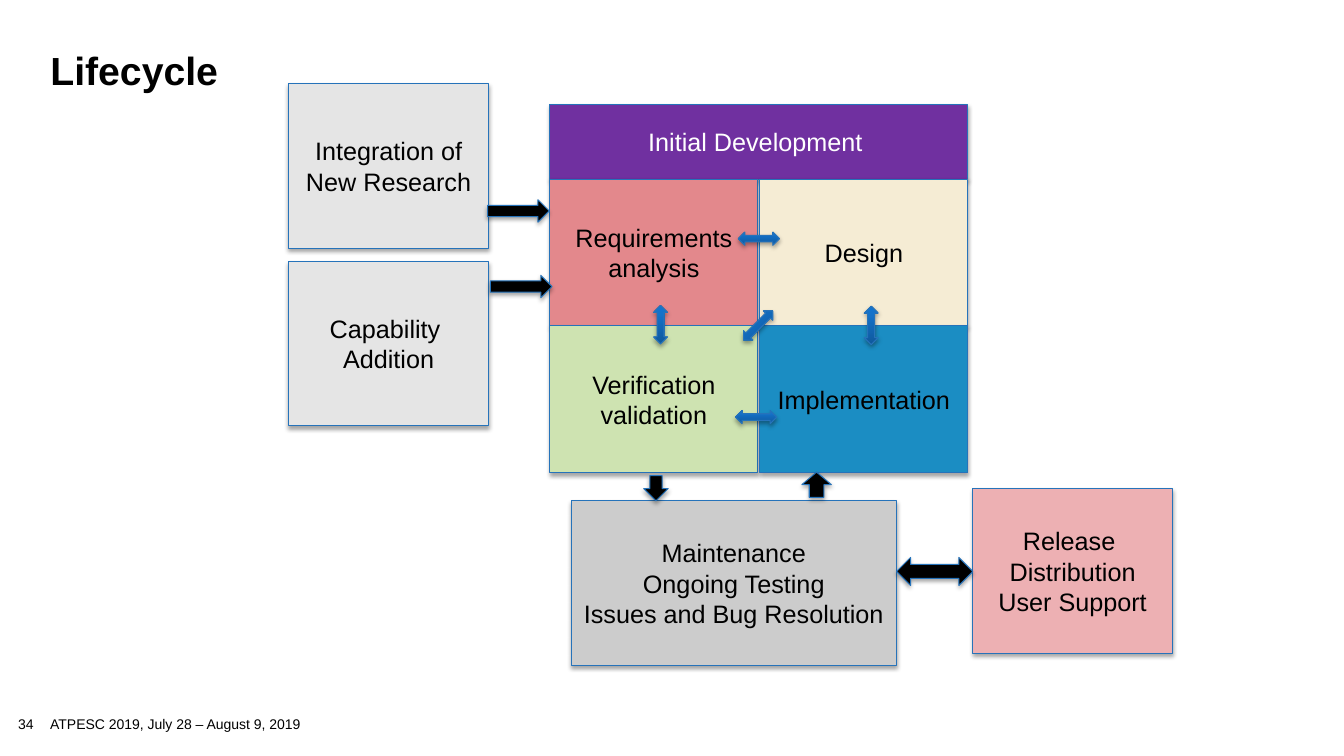
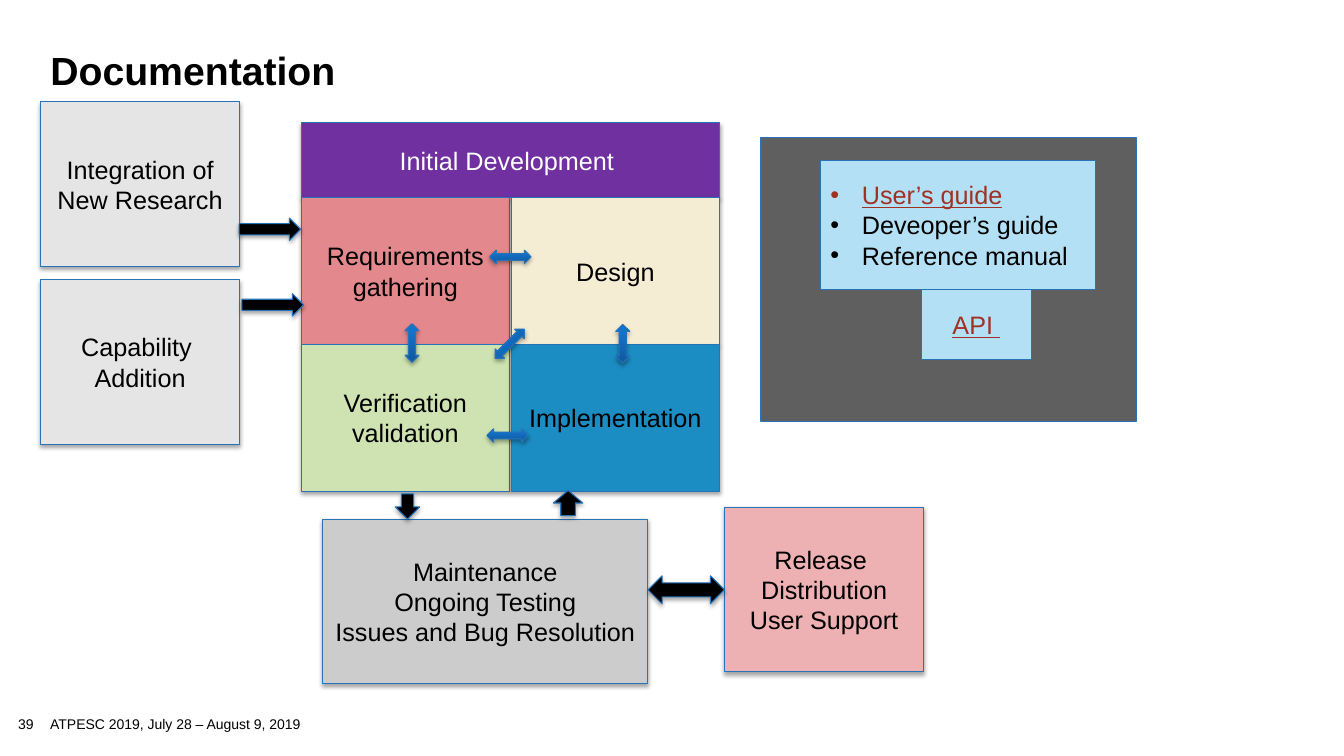
from dataclasses import dataclass

from lxml import etree
from pptx import Presentation
from pptx.dml.color import RGBColor
from pptx.enum.shapes import MSO_SHAPE
from pptx.enum.text import MSO_ANCHOR, MSO_AUTO_SIZE, PP_ALIGN
from pptx.oxml.ns import qn
from pptx.util import Pt

RECT = MSO_SHAPE.RECTANGLE
RIGHT, UP, DOWN = MSO_SHAPE.RIGHT_ARROW, MSO_SHAPE.UP_ARROW, MSO_SHAPE.DOWN_ARROW
WIDE, TALL = MSO_SHAPE.LEFT_RIGHT_ARROW, MSO_SHAPE.UP_DOWN_ARROW
LEFT, MID = PP_ALIGN.LEFT, PP_ALIGN.CENTER
MIDDLE, TOP = MSO_ANCHOR.MIDDLE, MSO_ANCHOR.TOP
NO_FIT = MSO_AUTO_SIZE.NONE
TITLE_ONLY = 5


@dataclass(frozen=True)
class Theme:
    font: str = "Arial"
    head: float = 28
    body: float = 18
    small: float = 10
    ink: str = "000000"
    pale: str = "FFFFFF"
    link: str = "A03123"
    edge: str = "2673BA"
    rule: float = 0.75
    input: str = "E5E5E5"
    start: str = "7030A0"
    needs: str = "E3888C"
    design: str = "F5ECD4"
    check: str = "CEE3B1"
    build: str = "1B8DC3"
    upkeep: str = "CCCCCC"
    ship: str = "EDB0B3"
    panel: str = "5F5F5F"
    paper: str = "B4E0F5"
    blend: tuple = ((0, "0F589C"), (80, "1472CA"), (100, "1073CF"))


T = Theme()


@dataclass(frozen=True)
class Box:
    x: float
    y: float
    w: float
    h: float

    def sub(self, x, y, w, h):
        """Give a box whose corner is measured from this one."""
        return Box(self.x + x, self.y + y, w, h)

    def pts(self):
        return [Pt(v) for v in (self.x, self.y, self.w, self.h)]


def node(parent, tag, **attrs):
    item = etree.SubElement(parent, qn(tag))
    for key, val in attrs.items():
        item.set(key, str(val))
    return item


def write(frame, lines, size=T.body, color=T.ink, align=MID, bold=False,
          links=(), space=None):
    """Fill a text frame; lines named in links are underlined."""
    frame.word_wrap = True
    for i, line in enumerate(lines):
        para = frame.paragraphs[0] if i == 0 else frame.add_paragraph()
        para.alignment = align
        if space:
            para.line_spacing = space
        run = para.add_run()
        run.text = line
        font = run.font
        font.name, font.size, font.bold = T.font, Pt(size), bold
        font.underline = line in links
        font.color.rgb = RGBColor.from_string(T.link if line in links else color)


def cast(shape):
    """Add a soft shadow straight below the shape."""
    effect = shape._element.spPr.find(qn("a:effectLst"))
    drop = node(effect, "a:outerShdw", blurRad=Pt(3.1), dist=Pt(1.8),
                dir=90 * 60000, rotWithShape=0)
    node(node(drop, "a:srgbClr", val="000000"), "a:alpha", val=35000)


def shade(shape):
    """Fill with the blue blend, running from bottom to top."""
    outline = shape._element.spPr.find(qn("a:prstGeom"))
    grad = etree.Element(qn("a:gradFill"), rotWithShape="1")
    stops = node(grad, "a:gsLst")
    for pos, color in T.blend:
        node(node(stops, "a:gs", pos=pos * 1000), "a:srgbClr", val=color)
    node(grad, "a:lin", ang=270 * 60000, scaled=0)
    outline.addnext(grad)


def draw(slide, kind, box, fill=None, shadow=True):
    """Add a shape; without a fill colour it takes the blue blend."""
    shape = slide.shapes.add_shape(kind, *box.pts())
    shape.shadow.inherit = False
    if fill:
        shape.fill.solid()
        shape.fill.fore_color.rgb = RGBColor.from_string(fill)
    else:
        shade(shape)
    shape.line.color.rgb = RGBColor.from_string(T.edge)
    shape.line.width = Pt(T.rule)
    if shadow:
        cast(shape)
    return shape


def block(slide, box, fill, lines, shadow=True, **style):
    shape = draw(slide, RECT, box, fill, shadow)
    shape.text_frame.vertical_anchor = MIDDLE
    write(shape.text_frame, lines, **style)
    return shape


def label(slide, box, text, inset, anchor, space=None):
    frame = slide.shapes.add_textbox(*box.pts()).text_frame
    frame.vertical_anchor = anchor
    frame.margin_left = frame.margin_right = Pt(inset)
    frame.margin_top = frame.margin_bottom = 0
    write(frame, [text], T.small, align=LEFT, space=space)


def page(deck, title, number):
    """Add a slide with its title and footer."""
    slide = deck.slides.add_slide(deck.slide_layouts[TITLE_ONLY])
    head = slide.shapes.title
    head.left, head.top, head.width, head.height = Box(28.8, 32.4, 895.7, 40.3).pts()
    head.text_frame.vertical_anchor = MIDDLE
    head.text_frame.auto_size = NO_FIT
    write(head.text_frame, [title], T.head, align=LEFT, bold=True, space=0.85)
    label(slide, Box(13, 512.6, 40, 11.5), number, 0, TOP, 0.9)
    label(slide, Box(28.8, 509.8, 261.4, 14.4),
          "ATPESC 2019, July 28 – August 9, 2019", 7.2, MIDDLE)
    return slide


def inputs(slide, box):
    """Stack the two sources of new work."""
    high = 117.5
    parts = (["Integration of New Research"], ["Capability ", "Addition"])
    for i, lines in enumerate(parts):
        y = i * (box.h - high)
        block(slide, box.sub(0, y, box.w, high), T.input, lines)


def core(slide, box, needs):
    """Draw a banner over a two by two grid, joined by blue arrows."""
    band, gap = 53.3, 1.5
    wide, high = (box.w - gap) / 2, (box.h - band) / 2
    block(slide, box.sub(0, 0, box.w, band), T.start,
          ["Initial Development "], color=T.pale)
    cells = ((needs, T.needs), ("Design", T.design),
             ("Verification validation", T.check), ("Implementation", T.build))
    for i, (text, fill) in enumerate(cells):
        row, col = divmod(i, 2)
        spot = box.sub(col * (wide + gap), band + row * high, wide, high)
        block(slide, spot, fill, [text])
    long, thin = 29.5, 9.5
    for x, y, turn in ((134.5, 91, 0), (132.5, 218.5, 0), (134, 153, 315)):
        draw(slide, WIDE, box.sub(x, y, long, thin)).rotation = turn
    for x, y in ((74, 143.5), (224.5, 144)):
        draw(slide, TALL, box.sub(x, y, 10, 27.5))


def support(slide, box):
    """Draw upkeep and release side by side with an arrow between."""
    left, right, high = 232.5, 142.5, 117.5
    gap = box.w - left - right
    block(slide, box.sub(0, box.h - high, left, high), T.upkeep,
          ["Maintenance", "Ongoing Testing", "Issues and Bug Resolution"])
    block(slide, box.sub(left + gap, 0, right, high), T.ship,
          ["Release ", "Distribution", "User Support"])
    draw(slide, WIDE, box.sub(left, 49, gap, 20), T.ink)


def cycle(slide, box, needs):
    """Draw the whole lifecycle with the black arrows between its regions."""
    support(slide, box.sub(201.6, 289.5, 429.5, 126))
    inputs(slide, box.sub(0, 0, 142.5, 244.5))
    core(slide, box.sub(186.5, 15, 298.5, 263), needs)
    arrows = ((RIGHT, 142, 83, 44, 16), (RIGHT, 144, 137, 44, 16),
              (DOWN, 253.5, 280, 17.5, 18), (UP, 366.5, 277.5, 21, 18))
    for kind, *spot in arrows:
        draw(slide, kind, box.sub(*spot), T.ink)


def guides(slide, box):
    """Draw the dark panel that lists the documents."""
    draw(slide, RECT, box, T.panel, False)
    names = ["User’s guide", "Deveoper’s guide", "Reference manual"]
    card = block(slide, box.sub(42.5, 16, 196.5, 92.2), T.paper, names, False,
                 align=LEFT, links=names[:1])
    for para in card.text_frame.paragraphs:
        props = para._p.get_or_add_pPr()
        props.set("marL", str(Pt(22.5)))
        props.set("indent", str(-Pt(22.5)))
        node(props, "a:buFont", typeface=T.font)
        node(props, "a:buChar", char="•")
    block(slide, box.sub(114.5, 108.2, 78.5, 50.2), T.paper, ["API "], False,
          links=["API "])


def main():
    deck = Presentation()
    deck.slide_width, deck.slide_height = Pt(960), Pt(540)
    life = page(deck, "Lifecycle", "34")
    cycle(life, Box(206.3, 59.7, 631, 416), "Requirements analysis")
    docs = page(deck, "Documentation", "39")
    cycle(docs, Box(28.8, 72.8, 631, 416), "Requirements gathering")
    guides(docs, Box(543.6, 98.5, 268, 202.3))
    deck.save("out.pptx")


if __name__ == "__main__":
    main()
